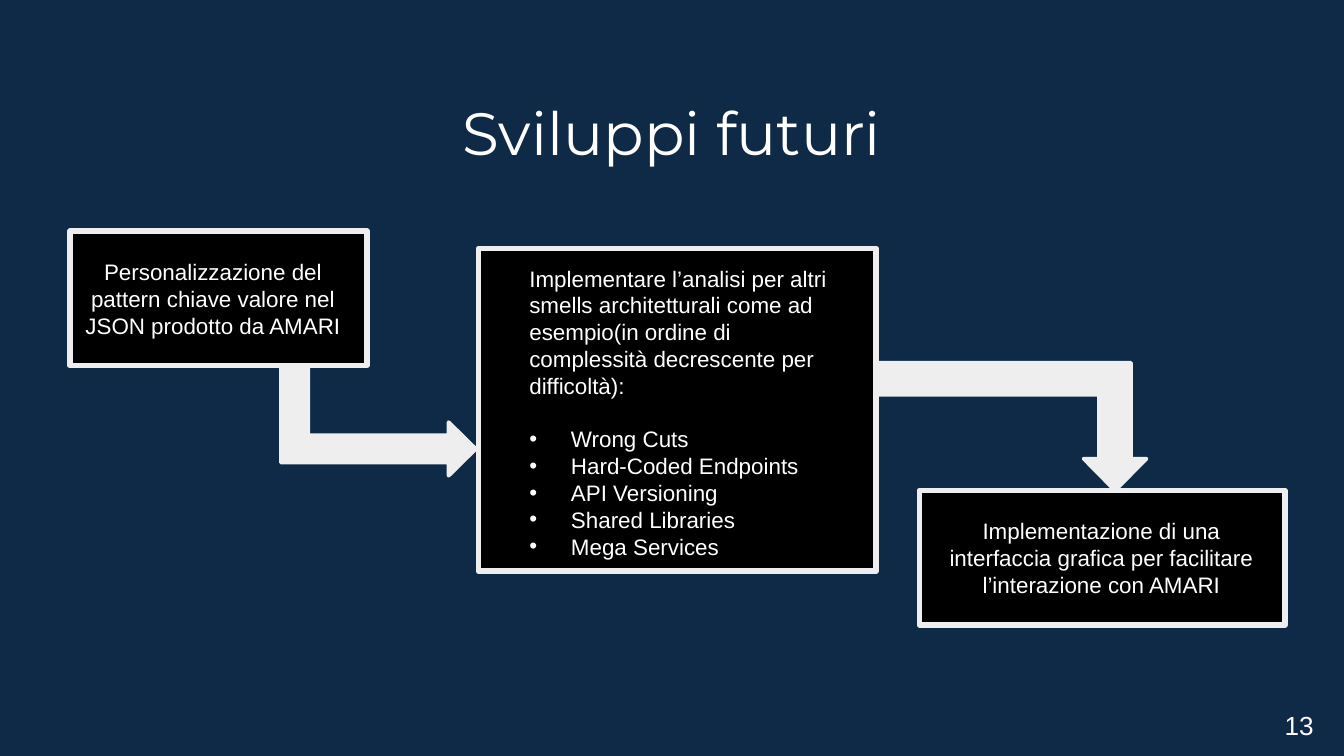
import lxml.etree
import pptx
import pptx.dml.color
import pptx.enum.shapes
import pptx.enum.text
import pptx.oxml
import pptx.oxml.ns
import pptx.util

Inches = pptx.util.Inches
SHAPES = pptx.enum.shapes.MSO_SHAPE
ALIGN = pptx.enum.text.PP_ALIGN


def paint(color_format, color):
    color_format.rgb = pptx.dml.color.RGBColor.from_string(color)


def write(text, frame=None, box=None, size=12, font="Arial", color="FFFFFF",
          align=ALIGN.LEFT, inset=0.05, bullet=None, space_before=0):
    if frame is None:
        frame = slide.shapes.add_textbox(*map(Inches, box)).text_frame
        frame.word_wrap = True
        frame.margin_top = frame.margin_bottom = Inches(inset)
        paragraph = frame.paragraphs[0]
    else:
        paragraph = frame.add_paragraph()
    if bullet:
        properties = paragraph._p.get_or_add_pPr()
        properties.set("marL", str(Inches(0.31)))
        properties.set("indent", str(Inches(-0.31)))
        bullet_color = lxml.etree.SubElement(properties, pptx.oxml.ns.qn("a:buClr"))
        lxml.etree.SubElement(bullet_color, pptx.oxml.ns.qn("a:srgbClr"), val=color)
        lxml.etree.SubElement(properties, pptx.oxml.ns.qn("a:buFont"), typeface="Arial")
        lxml.etree.SubElement(properties, pptx.oxml.ns.qn("a:buChar"), char=bullet)
    paragraph.alignment = align
    if space_before:
        paragraph.space_before = pptx.util.Pt(space_before)
    run = paragraph.add_run()
    run.text = text
    run.font.size = pptx.util.Pt(size)
    run.font.name = font
    paint(run.font.color, color)
    return frame


presentation = pptx.Presentation()
presentation.slide_width = Inches(10)
presentation.slide_height = Inches(10) * 9 // 16
slide = presentation.slides.add_slide(presentation.slide_layouts[6])
slide.background.fill.solid()
paint(slide.background.fill.fore_color, "0E2A47")

parts = [
    (SHAPES.RECTANGLE, (6.84, 3.65, 2.72, 1), "000000", 3, 0, False),
    (SHAPES.RECTANGLE, (3.56, 1.85, 2.96, 2.4), "000000", 3, 0, False),
    (SHAPES.RECTANGLE, (0.52, 1.72, 2.21, 1), "000000", 3, 0, False),
    (SHAPES.BENT_UP_ARROW, (6.52, 2.7, 2.01, 0.95), "EEEEEE", 2, 180, True),
    (SHAPES.BENT_UP_ARROW, (2.41, 2.41, 0.81, 1.45), "EEEEEE", 2, 90, False),
]
for kind, box, fill, line_width, rotation, mirrored in parts:
    step = slide.shapes.add_shape(kind, *map(Inches, box))
    step.shadow.inherit = False
    step.fill.solid()
    paint(step.fill.fore_color, fill)
    paint(step.line.color, "EEEEEE")
    step.line.width = pptx.util.Pt(line_width)
    step.rotation = rotation
    if kind == SHAPES.BENT_UP_ARROW:
        step.adjustments[1] = 0.246
    if mirrored:
        step._element.spPr.xfrm.set("flipH", "1")

write("Sviluppi futuri", box=(0.79, 0.61, 8.42, 0.63), size=32,
      font="Montserrat", align=ALIGN.CENTER, inset=0.1)

smells = write("Implementare l’analisi per altri smells architetturali come ad "
               "esempio(in ordine di complessità decrescente per difficoltà):",
               box=(3.84, 1.92, 2.51, 2.32))
for index, smell in enumerate(["Wrong Cuts", "Hard-Coded Endpoints", "API Versioning",
                               "Shared Libraries", "Mega Services"]):
    write(smell, frame=smells, bullet="•", space_before=0 if index else 14)

write("Personalizzazione del pattern chiave valore nel JSON prodotto da AMARI",
      box=(0.43, 1.87, 2.31, 0.71), align=ALIGN.CENTER)
write("Implementazione di una interfaccia grafica per facilitare l’interazione con AMARI",
      box=(6.94, 3.8, 2.51, 0.71), align=ALIGN.CENTER)
write("13", box=(9.46, 5.23, 0.42, 0.34), size=14, align=ALIGN.JUSTIFY)

presentation.save("out.pptx")
